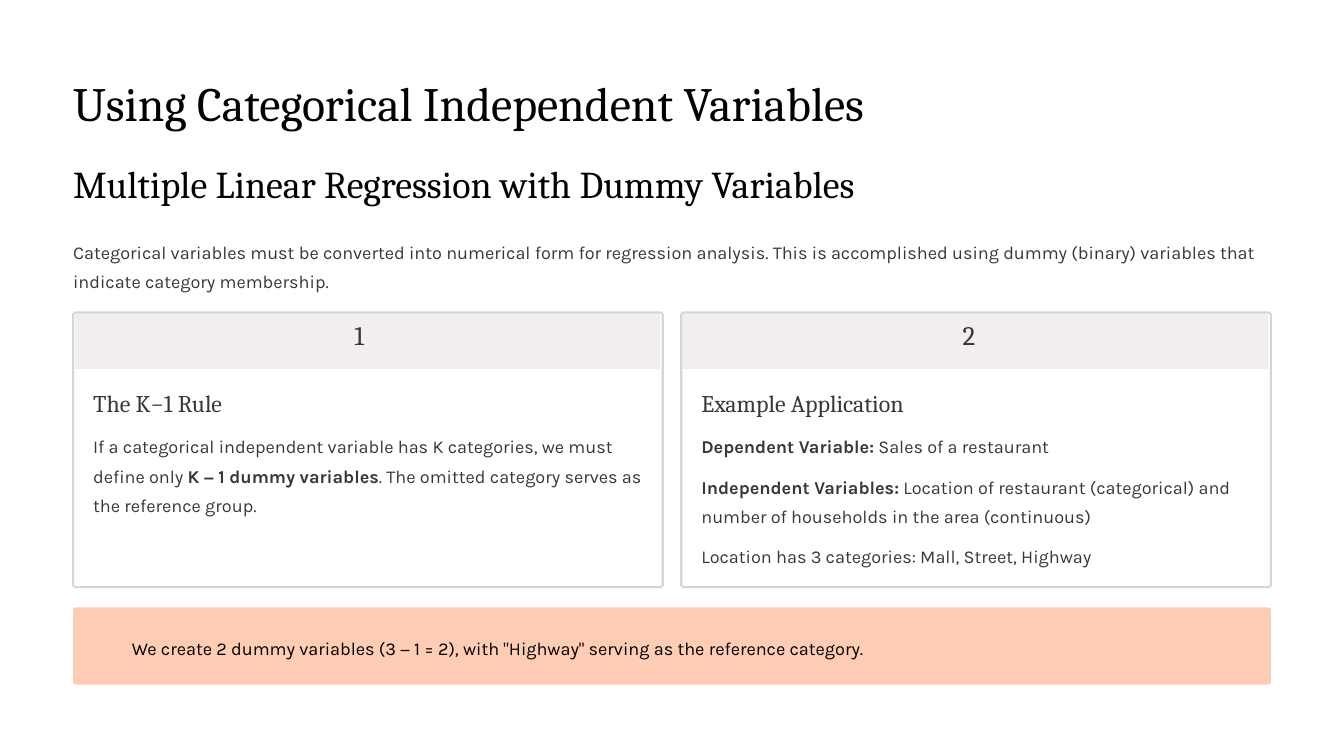
from pptx import Presentation
from pptx.dml.color import RGBColor as RGB
from pptx.enum.shapes import MSO_SHAPE as Shape
from pptx.enum.text import MSO_ANCHOR as Anchor, MSO_AUTO_SIZE as Auto, PP_ALIGN as Align
from pptx.oxml.ns import qn
from pptx.util import Inches, Pt
from lxml.etree import SubElement

INK = {"title": "020202", "text": "383838", "note": "000000", "page": "FFFFFF",
       "edge": "D8D4D4", "band": "F2EEEE", "peach": "FFCDB3"}
HEAD, BODY = "Cambria", "Karla"

# Grid of 160 columns by 90 rows on a 16 by 9 page
COLS, ROWS = 160, 90
WIDE, HIGH = Inches(16), Inches(9)
LEFT, SPAN, GAP = 8.7, 142.6, 2.2
PAD = 2.4


def place(box):
    x, y, w, h = box
    return [round(n) for n in (x * WIDE / COLS, y * HIGH / ROWS,
                               w * WIDE / COLS, h * HIGH / ROWS)]


def write(slide, box, paras, holder=None, font=BODY, size=15.5, line=25,
          color="text", gap=0):
    """Fill a text box or placeholder; each paragraph is a list of (text, bold)."""
    item = holder or slide.shapes.add_textbox(*place(box))
    item.left, item.top, item.width, item.height = place(box)
    frame = item.text_frame
    frame.word_wrap, frame.auto_size = True, Auto.NONE
    frame.vertical_anchor = Anchor.TOP
    frame.margin_left = frame.margin_right = frame.margin_top = frame.margin_bottom = 0
    for i, runs in enumerate(paras):
        para = frame.add_paragraph() if i else frame.paragraphs[0]
        props = para._p.get_or_add_pPr()
        props.set("marL", "0")
        props.set("indent", "0")
        SubElement(props, qn("a:buNone"))
        para.alignment = Align.LEFT
        para.line_spacing = Pt(line)
        para.space_before = Pt(gap if i else 0)
        for text, bold in runs:
            run = para.add_run()
            run.text = text
            run.font.name, run.font.size, run.font.bold = font, Pt(size), bold
            run.font.color.rgb = RGB.from_string(INK[color])


def panel(slide, box, fill, curve, edge=None):
    item = slide.shapes.add_shape(Shape.ROUNDED_RECTANGLE, *place(box))
    item.adjustments[0] = curve
    item.shadow.inherit = False
    item.fill.solid()
    item.fill.fore_color.rgb = RGB.from_string(INK[fill])
    if edge:
        item.line.color.rgb = RGB.from_string(INK[edge])
        item.line.width = Pt(1.8)
    else:
        item.line.fill.background()


def header(slide, box):
    x, y, w, h = box
    title, intro = slide.placeholders
    write(slide, (x, y, w, 7.1), [[("Using Categorical Independent Variables", False)]],
          title, font=HEAD, size=41, line=51, color="title")
    write(slide, (x, y + 10.3, w, 5.7),
          [[("Multiple Linear Regression with Dummy Variables", False)]],
          font=HEAD, size=32.5, line=41, color="title")
    write(slide, (x, y + 19.3, w, 6.9),
          [[("Categorical variables must be converted into numerical form for regression "
             "analysis. This is accomplished using dummy (binary) variables that indicate "
             "category membership.", False)]], intro)


def card(slide, box, num, name, paras):
    x, y, w, h = box
    panel(slide, box, "page", 0.01, "edge")
    panel(slide, (x + 0.2, y + 0.2, w - 0.5, 6.5), "band", 0.004)
    write(slide, (x + w / 2 - 1.6, y + 1.4, 3.3, 4.1), [[(num, False)]],
          font=HEAD, size=23, line=23)
    write(slide, (x + PAD, y + 8.9, w - 2 * PAD, 3.6), [[(name, False)]],
          font=HEAD, size=20.5, line=25.5)
    write(slide, (x + PAD, y + 13.8, w - 2 * PAD, h - 16), paras, gap=9.5)


def note(slide, box, text):
    x, y, w, h = box
    panel(slide, box, "peach", 0.035)
    write(slide, (x + 7, y + 2.7, w - 9.2, 3.5), [[(text, False)]], color="note")


CARDS = [
    ("The K−1 Rule", [
        [("If a categorical independent variable has K categories, we must define only ", False),
         ("K − 1 dummy variables", True),
         (". The omitted category serves as the reference group.", False)]]),
    ("Example Application", [
        [("Dependent Variable:", True), (" Sales of a restaurant", False)],
        [("Independent Variables:", True),
         (" Location of restaurant (categorical) and number of households in the area "
          "(continuous)", False)],
        [("Location has 3 categories: Mall, Street, Highway", False)]]),
]


def main():
    deck = Presentation()
    deck.slide_width, deck.slide_height = WIDE, HIGH
    slide = deck.slides.add_slide(deck.slide_layouts[1])
    slide.background.fill.solid()
    slide.background.fill.fore_color.rgb = RGB.from_string(INK["page"])

    header(slide, (LEFT, 8.5, SPAN, 26.2))
    wide = (SPAN - GAP) / len(CARDS)
    for i, (name, paras) in enumerate(CARDS):
        card(slide, (LEFT + i * (wide + GAP), 37.2, wide, 32.7), str(i + 1), name, paras)
    note(slide, (LEFT, 72.3, SPAN, 9.2),
         'We create 2 dummy variables (3 − 1 = 2), with "Highway" serving as '
         'the reference category.')
    deck.save("out.pptx")


if __name__ == "__main__":
    main()
